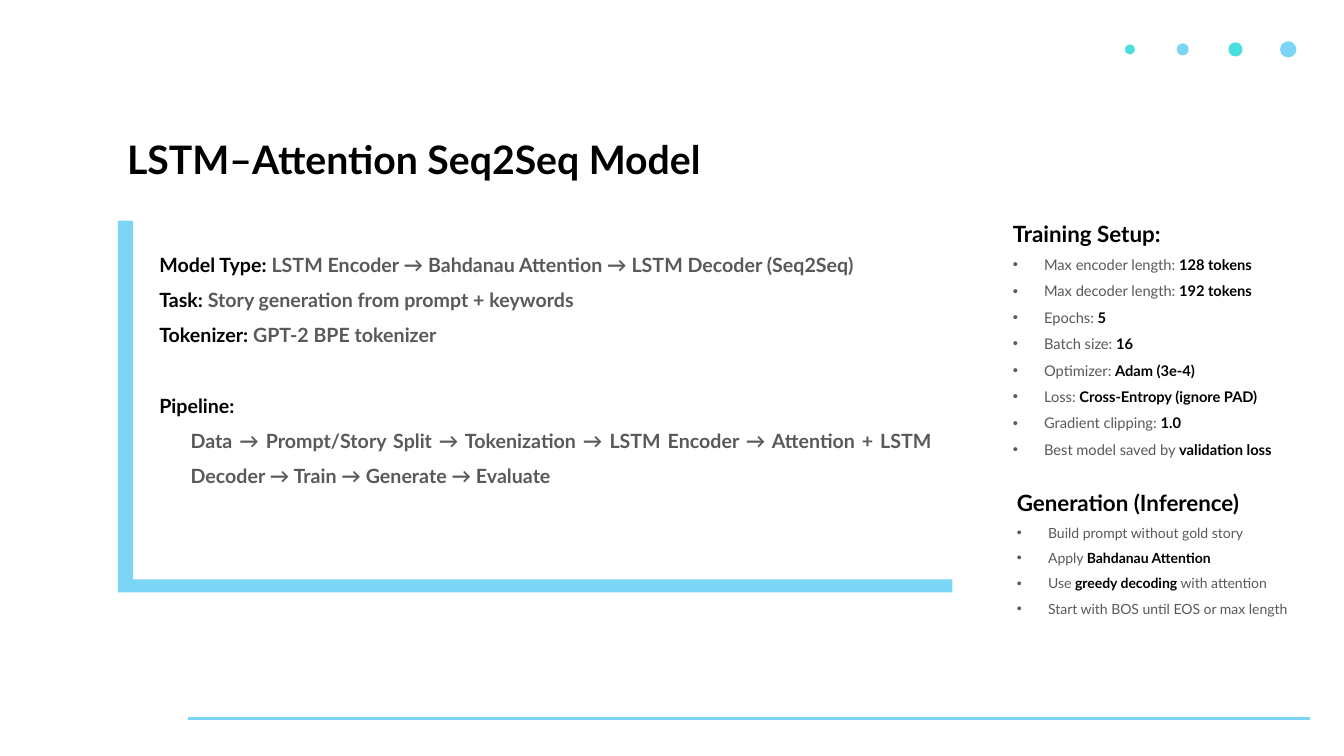
from dataclasses import dataclass

from lxml import etree
from pptx import Presentation
from pptx.dml.color import RGBColor
from pptx.enum.shapes import MSO_CONNECTOR as Connector, MSO_SHAPE as Shape
from pptx.enum.text import MSO_ANCHOR as Anchor, MSO_AUTO_SIZE as AutoSize, PP_ALIGN as Align
from pptx.oxml.ns import qn
from pptx.util import Cm, Pt


@dataclass(frozen=True)
class Theme:
    font: str = "Lato"
    ink: RGBColor = RGBColor(0x00, 0x00, 0x00)
    grey: RGBColor = RGBColor(0x59, 0x59, 0x59)
    sky: RGBColor = RGBColor(0x7B, 0xD5, 0xF5)
    teal: RGBColor = RGBColor(0x4A, 0xDE, 0xDE)
    title: float = 28
    heading: float = 16
    summary: float = 14
    training: float = 10.5
    generation: float = 10


@dataclass(frozen=True)
class Box:
    left: float
    top: float
    width: float
    height: float


THEME = Theme()

# Text between ** marks is emphasised
MODEL_FACTS = [
    "**Model Type: **LSTM Encoder → Bahdanau Attention → LSTM Decoder (Seq2Seq)",
    "**Task: **Story generation from prompt + keywords",
    "**Tokenizer: **GPT-2 BPE tokenizer",
]
PIPELINE = ("Data → Prompt/Story Split → Tokenization → LSTM Encoder → "
            "Attention + LSTM Decoder → Train → Generate → Evaluate")
TRAINING = [
    "Max encoder length: **128 tokens**",
    "Max decoder length: **192 tokens**",
    "Epochs: **5**",
    "Batch size: **16**",
    "Optimizer: **Adam (3e-4)**",
    "Loss: **Cross-Entropy (ignore PAD)**",
    "Gradient clipping: **1.0**",
    "Best model saved by **validation loss**",
]
GENERATION = [
    "Build prompt without gold story",
    "Apply **Bahdanau Attention**",
    "Use **greedy decoding** with attention",
    "Start with BOS until EOS or max length",
]


def place(holder, box, anchor=Anchor.TOP):
    holder.left, holder.top = Cm(box.left), Cm(box.top)
    holder.width, holder.height = Cm(box.width), Cm(box.height)
    frame = holder.text_frame
    frame.word_wrap = True
    frame.auto_size = AutoSize.NONE
    frame.vertical_anchor = anchor
    return frame


def set_font(font, size, color, bold):
    font.name, font.size, font.bold = THEME.font, Pt(size), bold
    font.color.rgb = color


def start_paragraph(frame, bullet=False, space_before=0):
    """Return a justified paragraph with a hanging indent, reusing an empty first one."""
    first = frame.paragraphs[0]
    paragraph = frame.add_paragraph() if first.runs else first
    paragraph.alignment = Align.JUSTIFY
    paragraph.line_spacing = 1.5
    paragraph.space_before, paragraph.space_after = Pt(space_before), Pt(0)
    props = paragraph._p.get_or_add_pPr()
    props.set("marL", str(Cm(2.06)))
    props.set("indent", str(Cm(-0.79)))
    if bullet:
        etree.SubElement(props, qn("a:buFont")).set("typeface", "Arial")
        etree.SubElement(props, qn("a:buChar")).set("char", "•")
    else:
        etree.SubElement(props, qn("a:buNone"))
    return paragraph


def add_marked_runs(paragraph, text, size, plain_bold):
    set_font(paragraph.font, size, THEME.grey, plain_bold)
    for index, part in enumerate(text.split("**")):
        if part:
            run = paragraph.add_run()
            run.text = part
            if index % 2:
                run.font.bold = True
                run.font.color.rgb = THEME.ink


def fill_plain(shape, color):
    shape.shadow.inherit = False
    shape.fill.solid()
    shape.fill.fore_color.rgb = color
    shape.line.fill.background()


def add_dots(slide, box):
    """Four dots, evenly spaced and growing to the right."""
    pitch, middle = (box.width - box.height) / 3, box.top + box.height / 2
    for index in range(4):
        size = 0.25 + (box.height - 0.25) * index / 3
        center = box.left + box.height / 2 + pitch * index
        dot = slide.shapes.add_shape(Shape.OVAL, Cm(center - size / 2), Cm(middle - size / 2),
                                     Cm(size), Cm(size))
        fill_plain(dot, THEME.sky if index % 2 else THEME.teal)


def add_footer_rule(slide, box):
    rule = slide.shapes.add_connector(Connector.STRAIGHT, Cm(box.left), Cm(box.top),
                                      Cm(box.left + box.width), Cm(box.top))
    rule.line.color.rgb = THEME.sky
    rule.line.width = Pt(1.75)
    etree.SubElement(rule._element.spPr, qn("a:effectLst"))


def fill_title(holder, box):
    frame = place(holder, box, Anchor.MIDDLE)
    paragraph = frame.paragraphs[0]
    paragraph.text = "LSTM–Attention Seq2Seq Model"
    paragraph.alignment = Align.LEFT
    set_font(paragraph.font, THEME.title, THEME.ink, True)


def add_corner_frame(slide, box, side=0.38, base=0.33):
    """An L-shaped outline along the left and bottom of the box."""
    right, bottom = box.left + box.width, box.top + box.height
    inner_left, inner_bottom = box.left + side, bottom - base
    outline = [(inner_left, box.top), (inner_left, inner_bottom), (right, inner_bottom),
               (right, bottom), (box.left, bottom)]
    builder = slide.shapes.build_freeform(Cm(box.left), Cm(box.top))
    builder.add_line_segments([(Cm(x), Cm(y)) for x, y in outline], close=True)
    fill_plain(builder.convert_to_shape(), THEME.sky)


def fill_model_summary(slide, holder, box):
    add_corner_frame(slide, box)

    # Facts, then the pipeline set apart by one line
    frame = place(holder, Box(box.left - 0.48, box.top + 0.38, box.width + 0.23, box.height - 1.14))
    for fact in MODEL_FACTS:
        add_marked_runs(start_paragraph(frame), fact, THEME.summary, True)
    pipeline = start_paragraph(frame, space_before=25.2)
    add_marked_runs(pipeline, "**Pipeline:**", THEME.summary, True)
    pipeline.add_line_break()
    add_marked_runs(pipeline, PIPELINE, THEME.summary, True)


def fill_side_list(holder, box, heading, items, size):
    frame = place(holder, box)
    title = start_paragraph(frame)
    title.add_run().text = heading
    set_font(title.font, THEME.heading, THEME.ink, True)
    for item in items:
        add_marked_runs(start_paragraph(frame, bullet=True), item, size, False)


def build_model_slide(deck):
    slide = deck.slides.add_slide(deck.slide_layouts.get_by_name("Comparison"))
    title, summary, training, generation, spare = slide.placeholders
    spare._element.getparent().remove(spare._element)

    add_dots(slide, Box(28.27, 1.04, 4.4, 0.41))
    add_footer_rule(slide, Box(4.75, 18.11, 28.27, 0))
    fill_title(title, Box(2.95, 3.28, 24.74, 1.45))
    fill_model_summary(slide, summary, Box(2.97, 5.56, 21.03, 9.37))
    fill_side_list(training, Box(24, 5.08, 9.5, 7.59), "Training Setup:",
                   TRAINING, THEME.training)
    fill_side_list(generation, Box(24.1, 11.86, 9.27, 4.98), "Generation (Inference)",
                   GENERATION, THEME.generation)


def main():
    deck = Presentation()
    deck.slide_width, deck.slide_height = Cm(33.87), Cm(19.05)
    build_model_slide(deck)
    deck.save("out.pptx")


if __name__ == "__main__":
    main()
